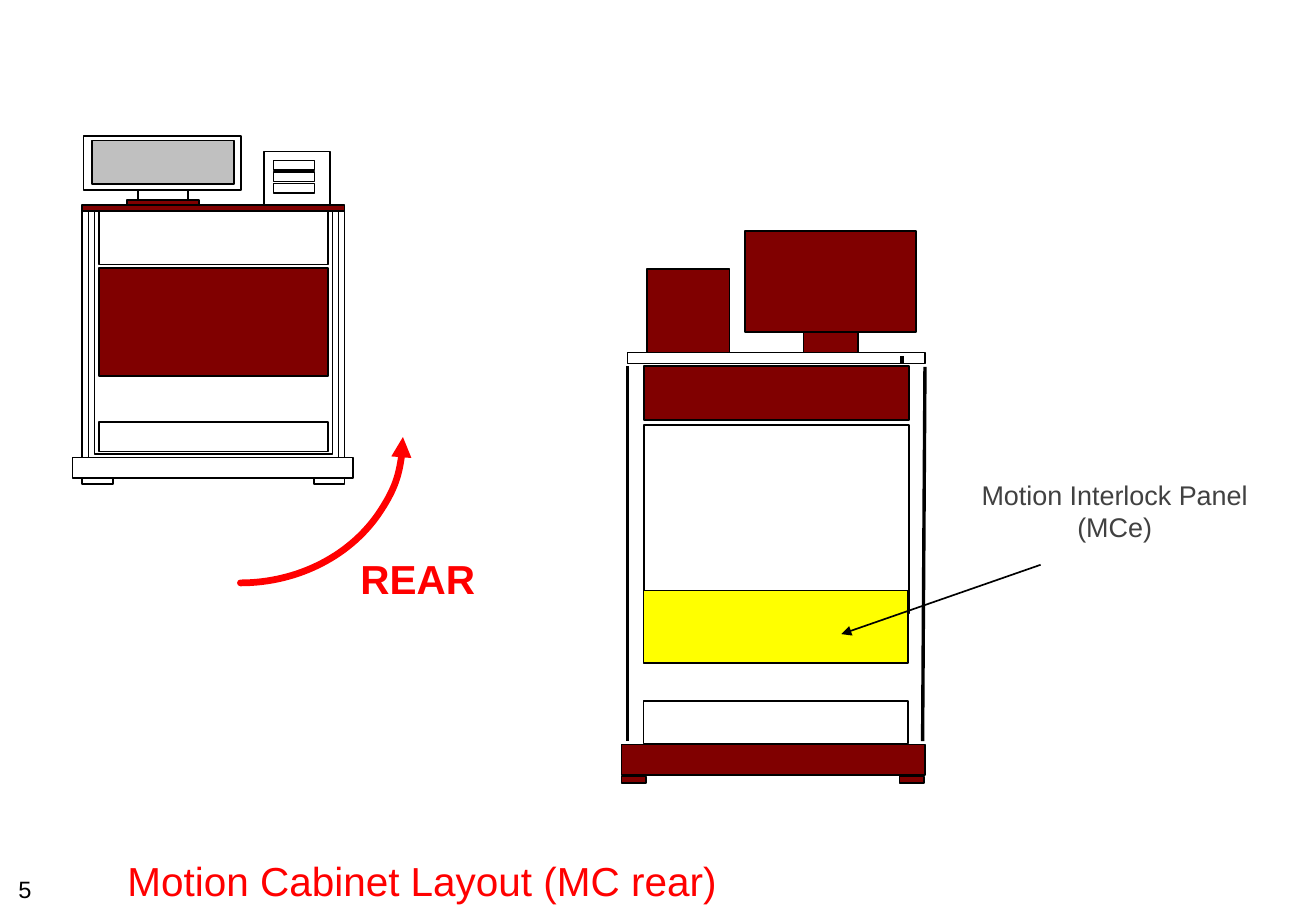
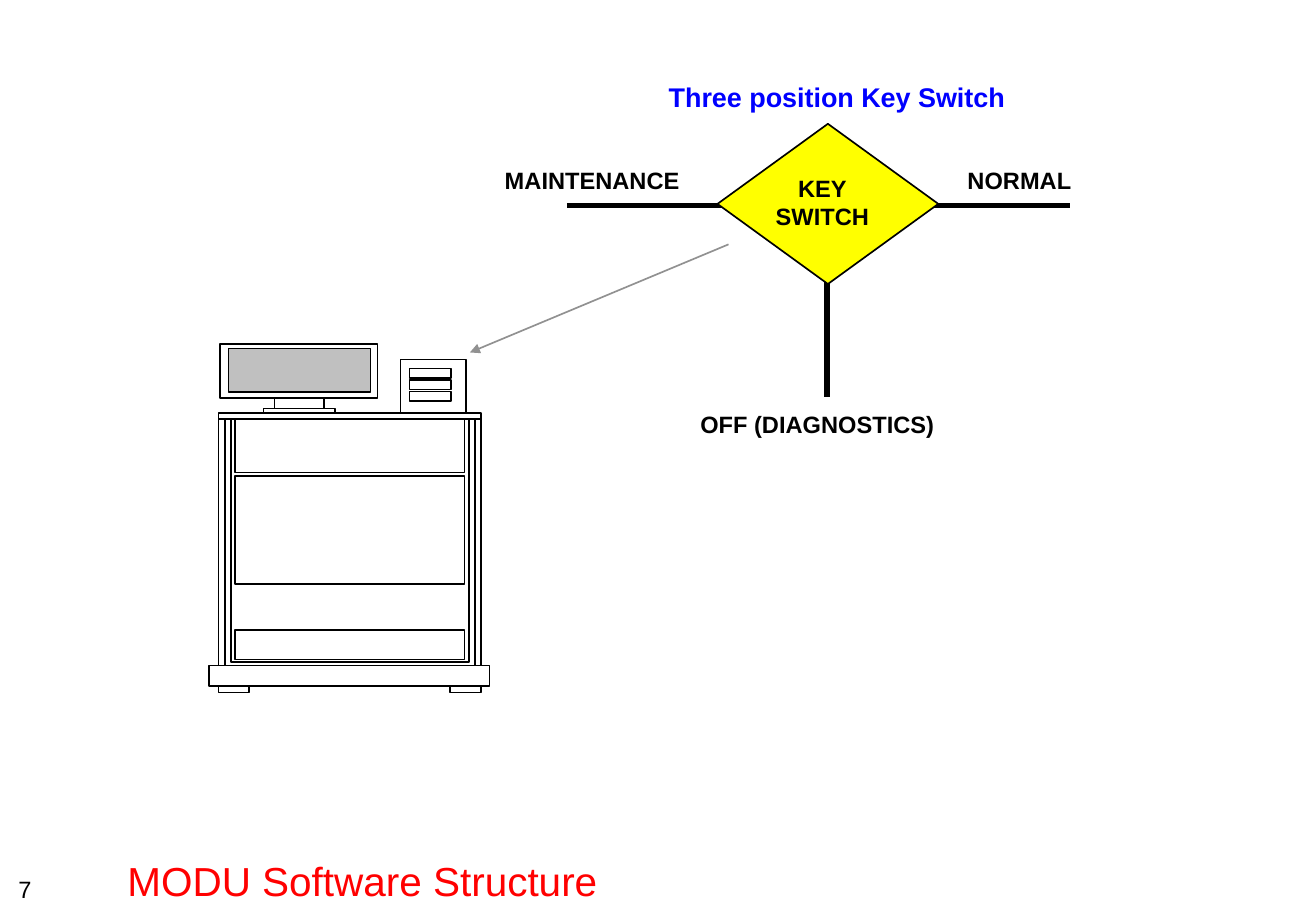
from dataclasses import dataclass
from typing import Any

from lxml import etree
from pptx import Presentation
from pptx.dml.color import RGBColor
from pptx.enum.shapes import MSO_CONNECTOR, MSO_SHAPE
from pptx.enum.text import MSO_ANCHOR, MSO_AUTO_SIZE, PP_ALIGN
from pptx.oxml.ns import qn
from pptx.util import Cm, Pt

RECTANGLE, ARC = MSO_SHAPE.RECTANGLE, MSO_SHAPE.ARC
DECISION = MSO_SHAPE.FLOWCHART_DECISION
STRAIGHT = MSO_CONNECTOR.STRAIGHT
LEFT, CENTER = PP_ALIGN.LEFT, PP_ALIGN.CENTER
MIDDLE, BOTTOM = MSO_ANCHOR.MIDDLE, MSO_ANCHOR.BOTTOM
NO_AUTOFIT = MSO_AUTO_SIZE.NONE

BLACK = RGBColor(0x00, 0x00, 0x00)
WHITE = RGBColor(0xFF, 0xFF, 0xFF)
MAROON = RGBColor(0x80, 0x00, 0x00)
RED = RGBColor(0xFF, 0x00, 0x00)
BLUE = RGBColor(0x00, 0x00, 0xFF)
YELLOW = RGBColor(0xFF, 0xFF, 0x00)
SCREEN_GRAY = RGBColor(0xC0, 0xC0, 0xC0)
ARROW_GRAY = RGBColor(0x91, 0x91, 0x91)
LABEL_GRAY = RGBColor(0x41, 0x41, 0x41)

FONT = "Arial"
SLIDE_SIZE = (27.53, 19.05)
TITLE_BOX = (2.41, 17.75, 25.1, 1.3)
NUMBER_BOX = (0, 18.16, 1.04, 0.86)
TITLE_ONLY = 5


def write(frame, text, size=14, color=BLACK, bold=False, align=LEFT):
    """Fill a text frame, one paragraph for each line of text."""
    frame.text = text
    for paragraph in frame.paragraphs:
        paragraph.alignment = align
        font = paragraph.font
        font.name, font.size, font.bold = FONT, Pt(size), bold
        font.color.rgb = color


def add_line_end(line, end):
    """Put a triangle on one end of a line: headEnd or tailEnd."""
    properties = line._get_or_add_ln()
    etree.SubElement(properties, qn("a:" + end), type="triangle")


@dataclass
class Region:
    """Part of a slide; lengths are in cm from its top left corner."""
    slide: Any
    left: float = 0
    top: float = 0

    def box(self, x, y, width, height):
        return Cm(self.left + x), Cm(self.top + y), Cm(width), Cm(height)

    def shape(self, x, y, width, height, fill=WHITE, kind=RECTANGLE,
              color=BLACK, weight=1):
        shape = self.slide.shapes.add_shape(kind, *self.box(x, y, width, height))
        shape.shadow.inherit = False
        if fill is None:
            shape.fill.background()
        else:
            shape.fill.solid()
            shape.fill.fore_color.rgb = fill
        shape.line.color.rgb = color
        shape.line.width = Pt(weight)
        return shape

    def line(self, x1, y1, x2, y2, weight=1, color=BLACK, arrow=False):
        connector = self.slide.shapes.add_connector(
            STRAIGHT, *self.box(x1, y1, 0, 0)[:2], *self.box(x2, y2, 0, 0)[:2])
        connector.line.color.rgb = color
        connector.line.width = Pt(weight)
        if arrow:
            add_line_end(connector.line, "tailEnd")
        etree.SubElement(connector._element.spPr, qn("a:effectLst"))

    def text(self, x, y, width, height, text, **style):
        textbox = self.slide.shapes.add_textbox(*self.box(x, y, width, height))
        textbox.text_frame.word_wrap = False
        write(textbox.text_frame, text, **style)
        return textbox.text_frame


def add_titled_slide(prs, title, number):
    slide = prs.slides.add_slide(prs.slide_layouts[TITLE_ONLY])
    page = Region(slide)
    heading = slide.shapes.title
    heading.left, heading.top, heading.width, heading.height = page.box(*TITLE_BOX)
    frame = heading.text_frame
    frame.auto_size = NO_AUTOFIT
    frame.vertical_anchor = BOTTOM
    write(frame, title, size=24, color=RED)
    number_frame = page.text(*NUMBER_BOX, str(number), align=CENTER)
    number_frame.vertical_anchor = MIDDLE
    return slide


def draw_front_cabinet(slide, left, top, accent=WHITE):
    """Cabinet seen from the front; accent fills the desktop and main panel."""
    cabinet = Region(slide, left, top)
    body_top, body_bottom = 1.57, 6.73
    cabinet.shape(0.2, body_top, 5.49, body_bottom - body_top)
    cabinet.shape(0.2, 1.45, 5.49, 0.12, accent)
    cabinet.shape(0.46, body_top, 4.98, 5.08)
    for post in (0.33, 5.56):
        cabinet.line(post, body_top, post, body_bottom)
    cabinet.shape(0, body_bottom, 5.87, 0.43)
    for foot in (0.2, 5.05):
        cabinet.shape(foot, 7.16, 0.64, 0.13)
    panels = ((body_top, 1.12, WHITE), (2.77, 2.26, accent), (5.99, 0.61, WHITE))
    for y, height, fill in panels:
        cabinet.shape(0.55, y, 4.8, height, fill)
    # Monitor on its stand
    cabinet.shape(1.37, 1.14, 1.04, 0.3)
    cabinet.shape(1.14, 1.35, 1.5, 0.1, accent)
    cabinet.shape(0.23, 0, 3.3, 1.14)
    cabinet.shape(0.41, 0.1, 2.97, 0.91, SCREEN_GRAY)
    # Computer with three drive slots
    cabinet.shape(4.01, 0.33, 1.37, 1.12)
    for slot in range(3):
        cabinet.shape(4.2, 0.52 + 0.24 * slot, 0.86, 0.2)


def draw_rear_cabinet(slide, left, top):
    cabinet = Region(slide, left, top)
    panel_width = 5.54
    # Desktop with its key slot, computer and monitor
    cabinet.shape(0.13, 2.54, 6.22, 0.23)
    cabinet.line(5.87, 2.62, 5.87, 2.77, weight=2)
    cabinet.shape(0.53, 0.79, 1.73, 1.75, MAROON)
    cabinet.shape(2.59, 0, 3.58, 2.11, MAROON)
    cabinet.shape(3.81, 2.12, 1.14, 0.42, MAROON)
    # Panels from top to bottom
    cabinet.shape(0.48, 2.82, panel_width, 1.14, MAROON)
    cabinet.shape(0.48, 4.06, panel_width, 3.94)
    cabinet.shape(0.46, 7.52, panel_width, 1.52, YELLOW)
    cabinet.shape(0.46, 9.83, panel_width, 0.89)
    # Sides, plinth and feet
    cabinet.line(6.35, 2.84, 6.3, 10.67, weight=2)
    cabinet.line(0.13, 2.82, 0.13, 10.67, weight=2)
    cabinet.shape(0, 10.74, 6.35, 0.64, MAROON)
    for foot in (0, 5.82):
        cabinet.shape(foot, 11.41, 0.51, 0.13, MAROON)


def draw_rear_arrow(slide, left, top):
    """Quarter turn arrow, labelled REAR."""
    turn = Region(slide, left, top)
    arc = turn.shape(0, 0, 6.8, 6.1, None, ARC, RED, 4)
    arc.adjustments[0] = 0
    arc.adjustments[1] = 54  # 90 degrees in 60000ths, over 100000
    arc.line._get_or_add_ln().set("cap", "rnd")
    add_line_end(arc.line, "headEnd")
    turn.text(5.66, 5.37, 3.2, 1.27, "REAR", size=24, color=RED, bold=True)


def draw_key_switch(slide, left, top):
    switch = Region(slide, left, top)
    switch.text(3.43, 0, 8, 0.91, "Three position Key Switch",
                size=16, color=BLUE, bold=True)
    axis = 2.74
    switch.line(8.51, axis, 12.07, axis, weight=3)
    switch.line(1.55, axis, 5.38, axis, weight=3)
    switch.line(6.99, 4.04, 6.99, 6.76, weight=3)
    diamond = switch.shape(4.7, 1.04, 4.62, 3.35, YELLOW, DECISION)
    frame = diamond.text_frame
    frame.word_wrap = False
    frame.margin_left, frame.margin_right = 0, Cm(0.23)
    frame.margin_bottom = Cm(0.2)
    frame.vertical_anchor = MIDDLE
    write(frame, "KEY\nSWITCH", bold=True, align=CENTER)
    positions = (("MAINTENANCE", 0, 1.8, 4.6), ("NORMAL", 9.68, 1.8, 3.2),
                 ("OFF (DIAGNOSTICS)", 4.09, 6.9, 6))
    for name, x, y, width in positions:
        switch.text(x, y, width, 0.84, name, bold=True)


def build_cabinet_layout(prs):
    slide = add_titled_slide(prs, "Motion Cabinet Layout (MC rear)", 5)
    draw_front_cabinet(slide, 1.52, 2.84, accent=MAROON)
    draw_rear_arrow(slide, 1.63, 6.09)
    draw_rear_cabinet(slide, 13, 4.83)
    page = Region(slide)
    page.text(20.02, 9.88, 6.6, 1.6, "Motion Interlock Panel\n(MCe)",
              size=16, color=LABEL_GRAY, align=CENTER)
    page.line(21.77, 11.81, 17.6, 13.26, arrow=True)


def build_software_structure(prs):
    slide = add_titled_slide(prs, "MODU Software Structure", 7)
    draw_key_switch(slide, 10.31, 1.55)
    draw_front_cabinet(slide, 4.37, 7.19)
    Region(slide).line(15.24, 5.11, 9.83, 7.37, color=ARROW_GRAY, arrow=True)


def main():
    prs = Presentation()
    prs.slide_width, prs.slide_height = map(Cm, SLIDE_SIZE)
    build_cabinet_layout(prs)
    build_software_structure(prs)
    prs.save("out.pptx")


if __name__ == "__main__":
    main()
